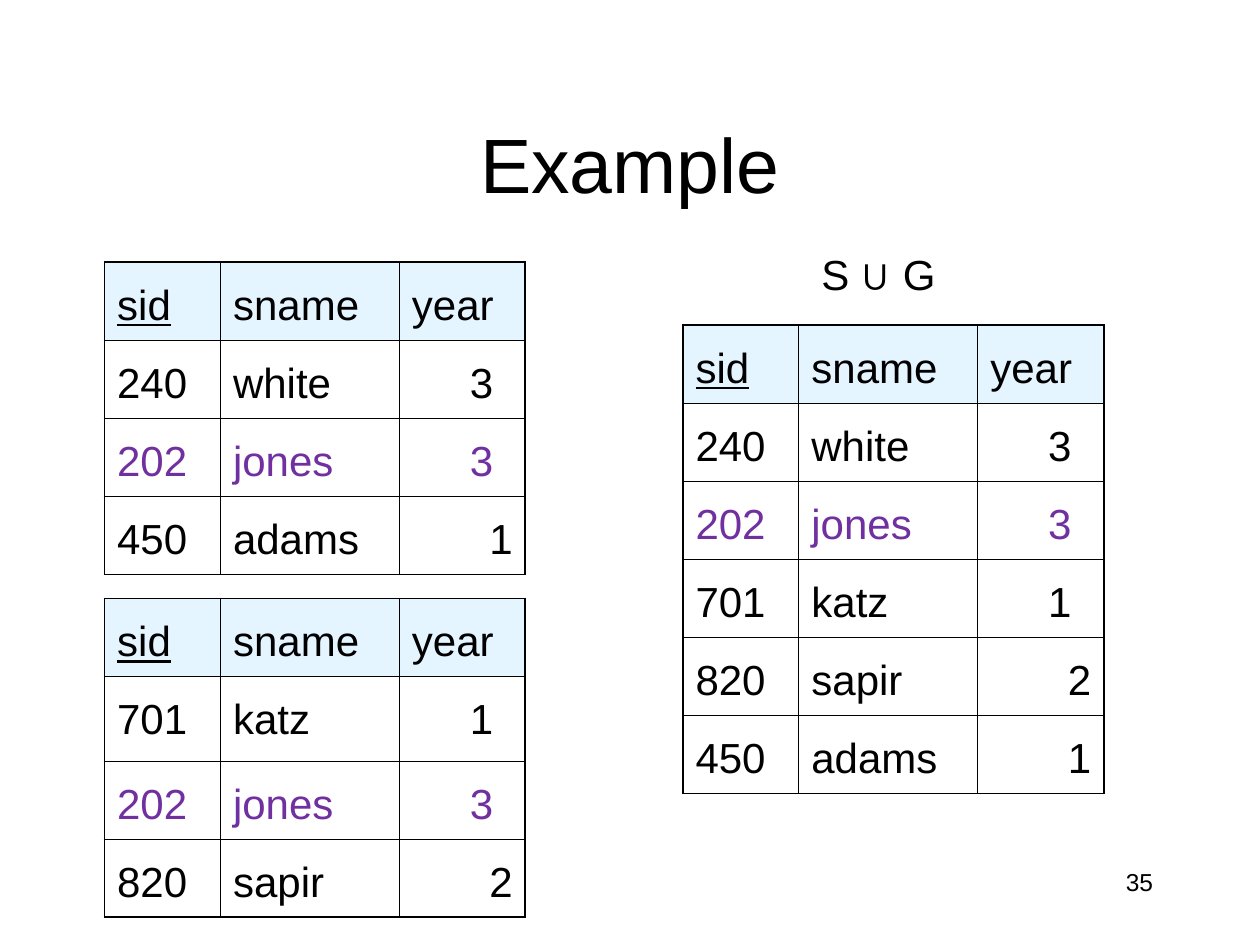
import dataclasses
import typing

import pptx
import pptx.dml.color
import pptx.enum.text
import pptx.oxml
import pptx.oxml.ns
import pptx.util

Inches = pptx.util.Inches
Points = pptx.util.Pt
Align = pptx.enum.text.PP_ALIGN

BLACK, PURPLE, PALE_BLUE = "000000", "7030A0", "CCECFF"
COLUMN_WIDTHS = (0.92, 1.42, 1.0)
ROW_HEIGHT = 0.62
YEAR_INDENT = 0.46
THIN, THICK = 0.45, 1.08


class Student(typing.NamedTuple):
    sid: str
    sname: str
    year: str
    color: str = BLACK
    year_at_right: bool = False


@dataclasses.dataclass
class Relation:
    left: float
    top: float
    students: list[Student]
    row_heights: dict[int, float] = dataclasses.field(default_factory=dict)


HEADER = Student("sid", "sname", "year")
WHITE = Student("240", "white", "3")
JONES = Student("202", "jones", "3", PURPLE)
KATZ = Student("701", "katz", "1")
SAPIR = Student("820", "sapir", "2", year_at_right=True)
ADAMS = Student("450", "adams", "1", year_at_right=True)

RELATIONS = [
    Relation(0.83, 2.08, [WHITE, JONES, ADAMS]),
    Relation(5.42, 2.58, [WHITE, JONES, KATZ, SAPIR, ADAMS]),
    Relation(0.83, 4.75, [KATZ, JONES, SAPIR], {1: 0.67}),
]


def rgb(color: str) -> pptx.dml.color.RGBColor:
    return pptx.dml.color.RGBColor.from_string(color)


def write(paragraph, text: str, size: float, color: str = BLACK,
          align: Align = Align.LEFT, underline: bool = False) -> None:
    paragraph.alignment = align
    run = paragraph.add_run()
    run.text = text
    font_format = {"name": "Arial", "size": Points(size), "underline": underline}
    for name, value in font_format.items():
        setattr(run.font, name, value)
    run.font.color.rgb = rgb(color)


def add_borders(cell, widths: dict[str, float]) -> None:
    """Put the border lines ahead of the fill, as the schema asks."""
    properties = cell._tc.get_or_add_tcPr()
    for position, (side, width) in enumerate(widths.items()):
        line = pptx.oxml.parse_xml(
            f'<a:{side} {pptx.oxml.ns.nsdecls("a")} w="{int(Points(width))}">'
            f'<a:solidFill><a:srgbClr val="{BLACK}"/></a:solidFill></a:{side}>')
        properties.insert(position, line)


def fill_header(cell) -> None:
    cell.fill.solid()
    cell.fill.fore_color.rgb = rgb(PALE_BLUE)
    color = cell._tc.tcPr.find(".//" + pptx.oxml.ns.qn("a:srgbClr"))
    color.append(pptx.oxml.parse_xml(
        f'<a:alpha {pptx.oxml.ns.nsdecls("a")} val="50000"/>'))


def add_relation(slide, relation: Relation) -> None:
    rows = [HEADER, *relation.students]
    heights = [relation.row_heights.get(index, ROW_HEIGHT) for index in range(len(rows))]
    table = slide.shapes.add_table(
        len(rows), len(COLUMN_WIDTHS), Inches(relation.left), Inches(relation.top),
        Inches(sum(COLUMN_WIDTHS)), Inches(sum(heights))).table
    table.first_row = table.horz_banding = False
    for column, width in zip(table.columns, COLUMN_WIDTHS):
        column.width = Inches(width)
    for row, height in zip(table.rows, heights):
        row.height = Inches(height)

    last_row, last_column = len(rows) - 1, len(COLUMN_WIDTHS) - 1
    for row_index, student in enumerate(rows):
        is_header = row_index == 0
        for column_index, text in enumerate(student[:3]):
            cell = table.cell(row_index, column_index)
            paragraph = cell.text_frame.paragraphs[0]
            paragraph.line_spacing = 1.3
            align = Align.LEFT
            if column_index == last_column and not is_header:
                if student.year_at_right:
                    align = Align.RIGHT
                else:
                    paragraph._p.get_or_add_pPr().set("marL", str(int(Inches(YEAR_INDENT))))
            write(paragraph, text, 24, student.color, align,
                  underline=is_header and column_index == 0)
            if is_header:
                fill_header(cell)
            else:
                cell.fill.background()
            # Outer edges are heavier than the inner grid
            outer = {"lnL": column_index == 0, "lnR": column_index == last_column,
                     "lnT": is_header, "lnB": row_index == last_row}
            add_borders(cell, {side: THICK if edge else THIN for side, edge in outer.items()})


def add_label(slide, text: str, left: float, top: float, width: float,
              size: float, align: Align = Align.LEFT) -> None:
    box = slide.shapes.add_textbox(Inches(left), Inches(top), Inches(width), Inches(0.5))
    box.text_frame.word_wrap = True
    write(box.text_frame.paragraphs[0], text, size, align=align)


def main() -> None:
    presentation = pptx.Presentation()
    presentation.slide_width, presentation.slide_height = Inches(10), Inches(7.5)
    slide = presentation.slides.add_slide(presentation.slide_layouts[5])

    # Title
    title = slide.shapes.title
    placement = {"left": 0.75, "top": 0.67, "width": 8.5, "height": 1.25}
    for name, value in placement.items():
        setattr(title, name, Inches(value))
    title.text_frame.vertical_anchor = pptx.enum.text.MSO_ANCHOR.MIDDLE
    write(title.text_frame.paragraphs[0], "Example", 44, align=Align.CENTER)

    # The two relations and their union
    for relation in RELATIONS:
        add_relation(slide, relation)
    add_label(slide, "S ∪ G", 6.42, 1.92, 1.5, 24)

    # Page number
    add_label(slide, "35", 7.17, 6.83, 2.08, 14, Align.RIGHT)

    presentation.save("out.pptx")


if __name__ == "__main__":
    main()
